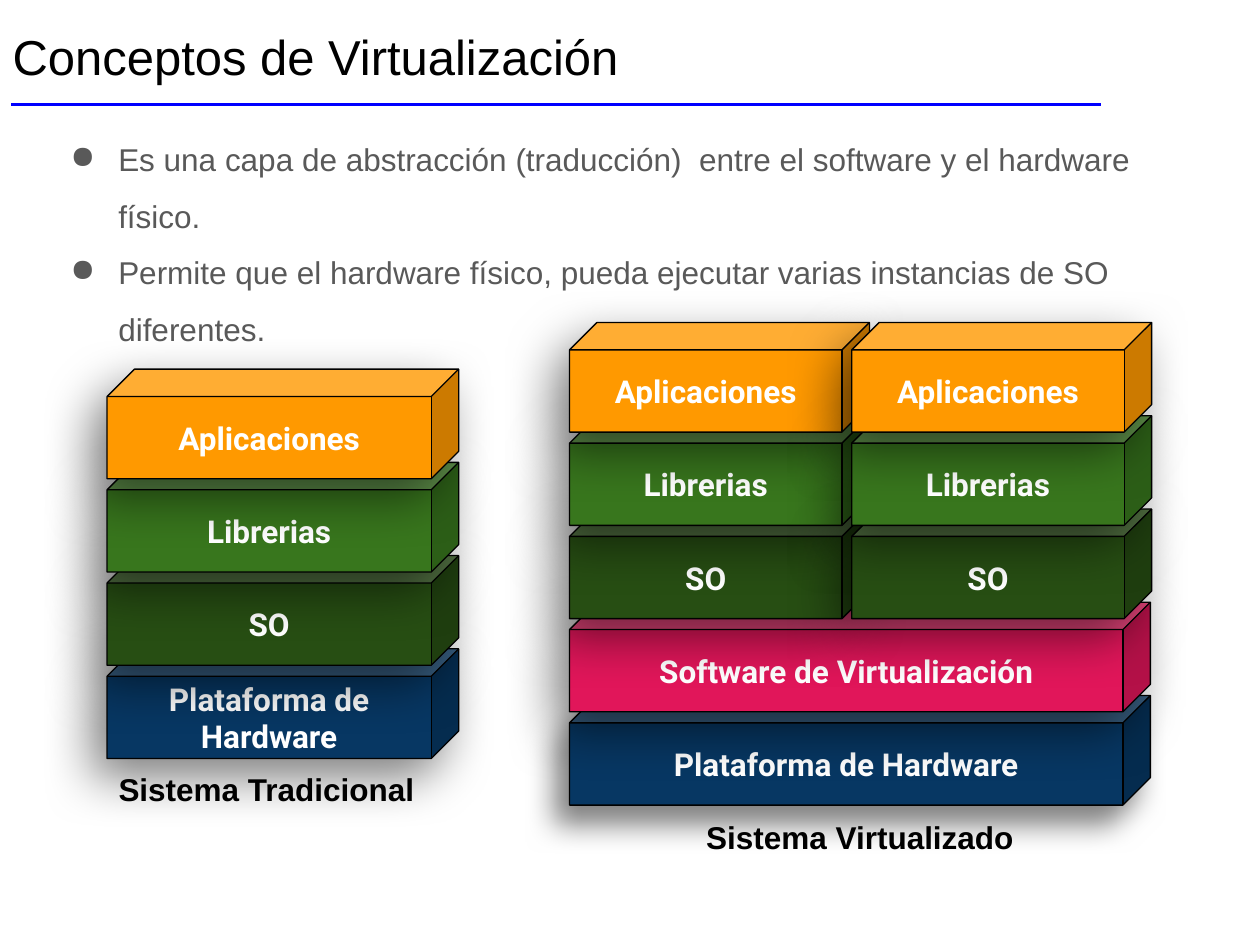
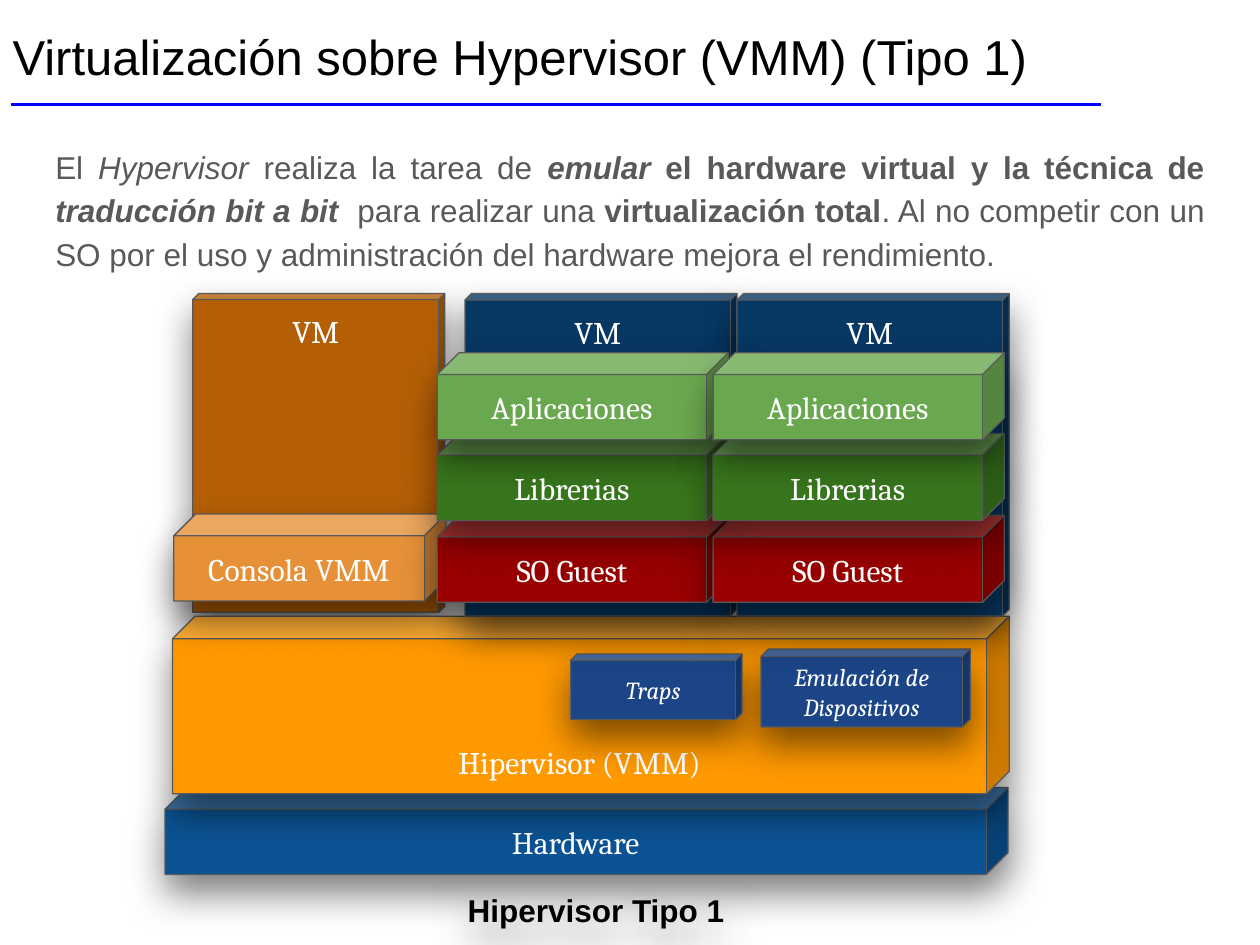
"""Builds two slides on virtualization with stacked layer diagrams."""
from lxml.etree import SubElement
from pptx import Presentation
from pptx.dml.color import RGBColor
from pptx.enum.shapes import MSO_CONNECTOR, MSO_SHAPE
from pptx.enum.text import MSO_ANCHOR, MSO_AUTO_SIZE, PP_ALIGN
from pptx.oxml.ns import qn
from pptx.util import Inches, Pt

BLACK, WHITE, GREY, RULE = "000000", "FFFFFF", "595959", "0000FF"
NAVY, ORANGE, GREEN, DARK_GREEN = "073763", "FF9900", "38761D", "274E13"
PINK, BROWN, AMBER, RED = "E1165A", "B45F06", "E69138", "990000"
LIGHT_GREEN, OCEAN, INDIGO = "6AA84F", "0B5394", "1C4587"


def color(value):
    return RGBColor.from_string(value)


class Slides:
    """Holds the deck, the current page and the style of its cubes."""

    def __init__(self):
        self.deck = Presentation()
        self.deck.slide_width, self.deck.slide_height = Inches(10), Inches(7.5)

    def new_page(self, title, cube_font, cube_bold, outline, shadow):
        self.page = self.deck.slides.add_slide(self.deck.slide_layouts[5])
        self.cube_font, self.cube_bold = cube_font, cube_bold
        self.outline, self.shadow = outline, shadow
        heading = self.page.shapes.title
        heading.left, heading.top = Inches(0), Inches(0.07)
        heading.width, heading.height = Inches(9.32), Inches(0.83)
        frame = self.frame(heading, MSO_ANCHOR.TOP)
        frame.margin_top = Inches(0.14)
        para = frame.paragraphs[0]
        para.text = title
        self.format(para, 28, "Arial", BLACK, PP_ALIGN.LEFT)
        self.rule()

    def rule(self):
        line = self.page.shapes.add_connector(
            MSO_CONNECTOR.STRAIGHT, Inches(0.09), Inches(0.83), Inches(8.74), Inches(0.83))
        line.line.color.rgb = color(RULE)
        line.line.width = Pt(1.5)
        SubElement(line._element.spPr, qn("a:effectLst"))

    def frame(self, shape, anchor):
        frame = shape.text_frame
        frame.word_wrap = True
        frame.auto_size = MSO_AUTO_SIZE.NONE
        frame.vertical_anchor = anchor
        frame.margin_left = frame.margin_right = Inches(0.1)
        frame.margin_top = frame.margin_bottom = Inches(0.1)
        return frame

    def format(self, para, size, font, ink, align, bold=None, italic=None):
        para.alignment = align
        para.font.size, para.font.name = Pt(size), font
        para.font.color.rgb = color(ink)
        para.font.bold, para.font.italic = bold, italic

    def text_frame(self, left, top, width, height):
        box = self.page.shapes.add_textbox(
            Inches(left), Inches(top), Inches(width), Inches(height))
        return box, self.frame(box, MSO_ANCHOR.TOP)

    def caption(self, text, left, top, width, height=0.36):
        box, frame = self.text_frame(left, top, width, height)
        para = frame.paragraphs[0]
        para.text = text
        self.format(para, 18, "Arial", BLACK, PP_ALIGN.CENTER, bold=True)
        return box

    def bullets(self, texts, left, top, width, height):
        frame = self.text_frame(left, top, width, height)[1]
        for index, text in enumerate(texts):
            para = frame.add_paragraph() if index else frame.paragraphs[0]
            para.text = text
            props = para._p.get_or_add_pPr()
            props.set("marL", str(Inches(0.5)))
            props.set("indent", str(Inches(-0.38)))
            SubElement(SubElement(props, qn("a:buClr")), qn("a:srgbClr"), val=GREY)
            SubElement(props, qn("a:buChar"), char="●")
            para.line_spacing = 1.5
            self.format(para, 18, "Arial", GREY, PP_ALIGN.LEFT)

    def rich_text(self, spans, left, top, width, height):
        para = self.text_frame(left, top, width, height)[1].paragraphs[0]
        para.line_spacing, para.space_after = 1.15, Pt(16)
        self.format(para, 18, "Arial", GREY, PP_ALIGN.JUSTIFY)
        for text, style in spans:
            span = para.add_run()
            span.text = text
            span.font.bold, span.font.italic = "b" in style, "i" in style

    def cast_shadow(self, shape, blur, distance, angle):
        shape.shadow.inherit = False
        effects = shape._element.spPr.find(qn("a:effectLst"))
        outer = SubElement(
            effects, qn("a:outerShdw"), blurRad=str(Pt(blur)), dist=str(Pt(distance)),
            dir=str(angle * 60000), algn="bl", rotWithShape="0")
        ink = SubElement(outer, qn("a:srgbClr"), val=BLACK)
        SubElement(ink, qn("a:alpha"), val="50000")

    def cube(self, text, fill, left, top, width, height, depth=0.25,
             anchor=MSO_ANCHOR.MIDDLE, size=18, italic=None, shadow=None):
        block = self.page.shapes.add_shape(
            MSO_SHAPE.CUBE, Inches(left), Inches(top), Inches(width), Inches(height))
        block.adjustments[0] = depth
        block.fill.solid()
        block.fill.fore_color.rgb = color(fill)
        block.line.color.rgb = color(self.outline)
        block.line.width = Pt(0.75)
        self.cast_shadow(block, *(shadow or self.shadow))
        para = self.frame(block, anchor).paragraphs[0]
        para.text = text
        self.format(para, size, self.cube_font, WHITE, PP_ALIGN.CENTER,
                    self.cube_bold, italic)

    def stack(self, layers, left, bottom_top, width, height, step):
        for level, (text, fill) in enumerate(layers):
            self.cube(text, fill, left, bottom_top - level * step, width, height)


def concepts(slides):
    slides.new_page("Conceptos de Virtualización", "Roboto", True, BLACK, (29.2, 13.5, 128))
    slides.bullets([
        "Es una capa de abstracción (traducción)  entre el software y el hardware físico.",
        "Permite que el hardware físico, pueda ejecutar varias instancias de SO diferentes.",
    ], 0.34, 0.86, 9.32, 2.19)
    hardware = ("Plataforma de Hardware", NAVY)
    guest = [("SO", DARK_GREEN), ("Librerias", GREEN), ("Aplicaciones", ORANGE)]
    height, step = 0.87, 0.74
    slides.stack([hardware] + guest, 0.85, 5.15, 2.79, height, step)
    slides.caption("Sistema Tradicional", 0.8, 6.01, 2.63)
    slides.cube(*hardware, 4.52, 5.52, 4.61, height, shadow=(16.9, 13.5, 128))
    slides.cube("Software de Virtualización", PINK, 4.52, 4.78, 4.61, height)
    for left in (4.52, 6.76):
        slides.stack(guest, left, 4.04, 2.38, height, step)
    slides.caption("Sistema Virtualizado", 5.25, 6.39, 3.15)


def hypervisor(slides):
    slides.new_page("Virtualización sobre Hypervisor (VMM) (Tipo 1)", "Cambria", None,
                    GREY, (21.4, 10.5, 90))
    machine = {"depth": 0.024, "anchor": MSO_ANCHOR.TOP}
    service = {"depth": 0.098, "size": 14, "italic": True}
    slides.cube("VM", BROWN, 1.53, 2.33, 2, 2.53, **machine)
    slides.rich_text([
        ("El ", ""), ("Hypervisor ", "i"), ("realiza la tarea de ", ""), ("emular", "bi"),
        (" el hardware virtual y la técnica de ", "b"), ("traducción bit a bit ", "bi"),
        (" para realizar una ", ""), ("virtualización total", "b"),
        (". Al no competir con un SO por el uso y administración del hardware "
         "mejora el rendimiento.", ""),
    ], 0.34, 1.03, 9.32, 1.28)
    slides.cube("Hardware", OCEAN, 1.31, 6.25, 6.69, 0.69)
    slides.cube("Hipervisor (VMM)", ORANGE, 1.37, 4.89, 6.64, 1.41, 0.127, MSO_ANCHOR.BOTTOM)
    slides.cube("Traps", INDIGO, 4.53, 5.19, 1.36, 0.52, **service)
    slides.cube("Emulación de Dispositivos", INDIGO, 6.04, 5.15, 1.66, 0.62, **service)
    caption = slides.caption("Hipervisor Tipo 1", 2.64, 6.97, 4.18, 0.53)
    slides.cast_shadow(caption, *slides.shadow)
    for left in (3.69, 5.85):
        slides.cube("VM", NAVY, left, 2.33, 2.16, 2.56, **machine)
    slides.cube("Consola VMM", AMBER, 1.38, 4.08, 2.16, 0.69)
    guest_lefts = (3.47, 5.66)
    for left in guest_lefts:
        slides.cube("SO Guest", RED, left, 4.09, 2.31, 0.69)
    for left in guest_lefts:
        slides.stack([("Librerias", GREEN), ("Aplicaciones", LIGHT_GREEN)],
                     left, 3.44, 2.31, 0.69, 0.64)


def main():
    slides = Slides()
    concepts(slides)
    hypervisor(slides)
    slides.deck.save("out.pptx")


if __name__ == "__main__":
    main()
